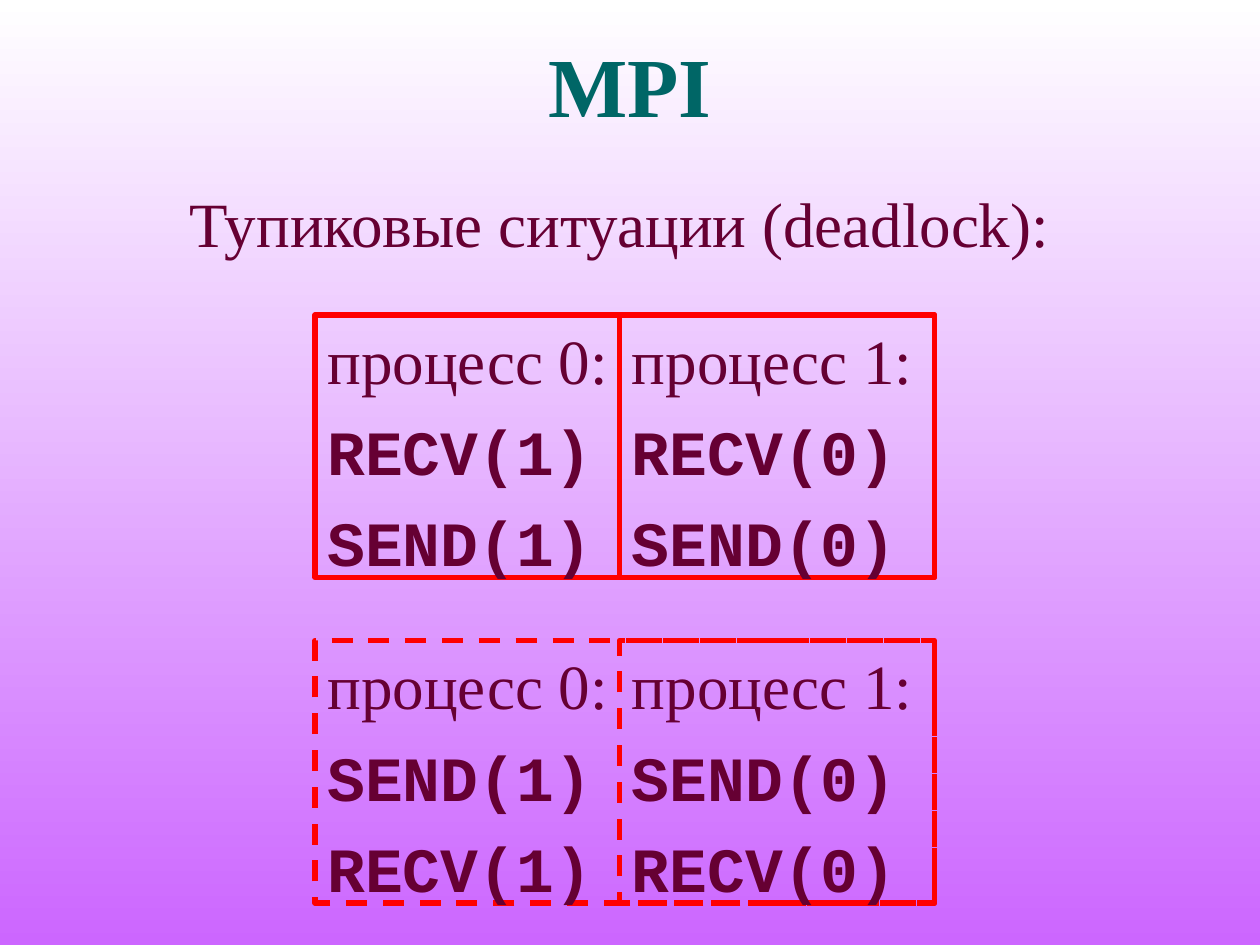
import pptx
import pptx.util
import pptx.dml.color
import pptx.enum.dml
import pptx.enum.shapes
import pptx.enum.text

Pt = pptx.util.Pt
Align = pptx.enum.text.PP_ALIGN
Anchor = pptx.enum.text.MSO_ANCHOR
Dash = pptx.enum.dml.MSO_LINE

COLORS = {"title": "006666", "text": "660033", "line": "FF0000",
          "top": "FFFFFF", "base": "CC66FF"}
SERIF = "Times New Roman"
MONO = "Courier New"


def color(name):
    return pptx.dml.color.RGBColor.from_string(COLORS[name])


def write(para, text, font=SERIF, size=36, bold=False, tint="text",
          align=Align.LEFT, before=0):
    para.alignment = align
    para.line_spacing = 1.0
    para.space_before = Pt(before)
    run = para.add_run()
    run.text = text
    run.font.name = font
    run.font.size = Pt(size)
    run.font.bold = bold
    run.font.color.rgb = color(tint)


def shade(slide):
    fill = slide.background.fill
    fill.gradient()
    fill.gradient_angle = 270
    for stop, name in zip(fill.gradient_stops, ("top", "base")):
        stop.color.rgb = color(name)


def label(slide, text, left, top, width, height, anchor=Anchor.TOP, **style):
    frame = slide.shapes.add_textbox(
        Pt(left), Pt(top), Pt(width), Pt(height)).text_frame
    frame.word_wrap = True
    frame.vertical_anchor = anchor
    write(frame.paragraphs[0], text, align=Align.CENTER, **style)


def panel(slide, left, top, width, lines, dash):
    box = slide.shapes.add_shape(
        pptx.enum.shapes.MSO_SHAPE.RECTANGLE,
        Pt(left), Pt(top), Pt(width), Pt(150))
    box.shadow.inherit = False
    box.fill.background()
    box.line.color.rgb = color("line")
    box.line.width = Pt(3)
    box.line.dash_style = dash
    frame = box.text_frame
    frame.word_wrap = True
    frame.vertical_anchor = Anchor.TOP
    head, *calls = lines
    write(frame.paragraphs[0], head)
    for call in calls:
        write(frame.add_paragraph(), call, font=MONO, bold=True, before=9)


def main():
    deck = pptx.Presentation()
    deck.slide_width, deck.slide_height = Pt(720), Pt(540)
    slide = deck.slides.add_slide(deck.slide_layouts[6])
    shade(slide)
    label(slide, "MPI", 54, 12, 612, 72, anchor=Anchor.MIDDLE,
          size=48, bold=True, tint="title")
    label(slide, "Тупиковые ситуации (deadlock):", 0, 102, 708, 54)

    right = 534
    cases = ((180, ("RECV", "SEND"), Dash.SOLID),
             (366, ("SEND", "RECV"), Dash.DASH))
    for top, names, dash in cases:
        for rank, left in enumerate((180, 354)):
            calls = [f"{name}({1 - rank})" for name in names]
            panel(slide, left, top, right - left,
                  [f"процесс {rank}:", *calls], dash)
    deck.save("out.pptx")


if __name__ == "__main__":
    main()
